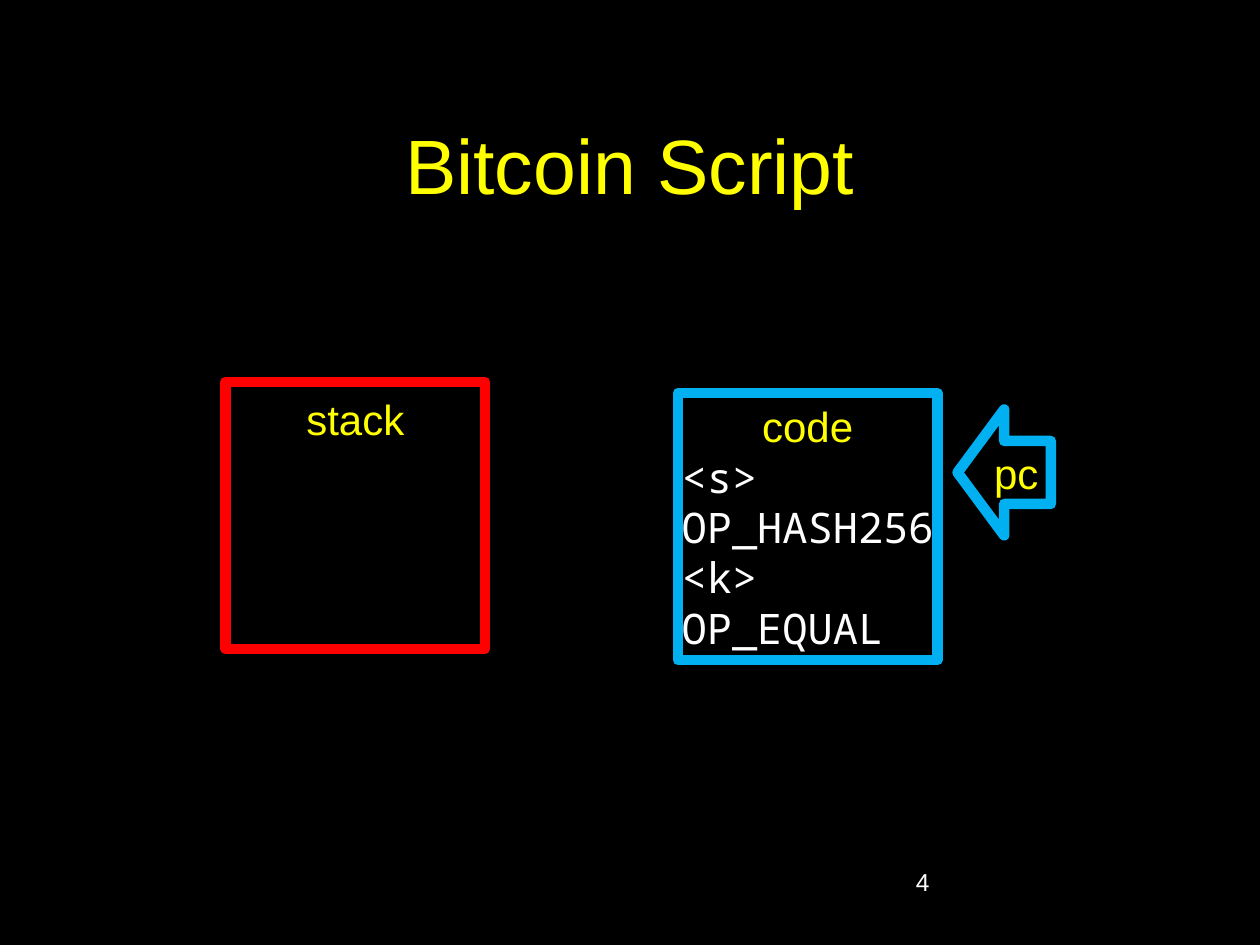
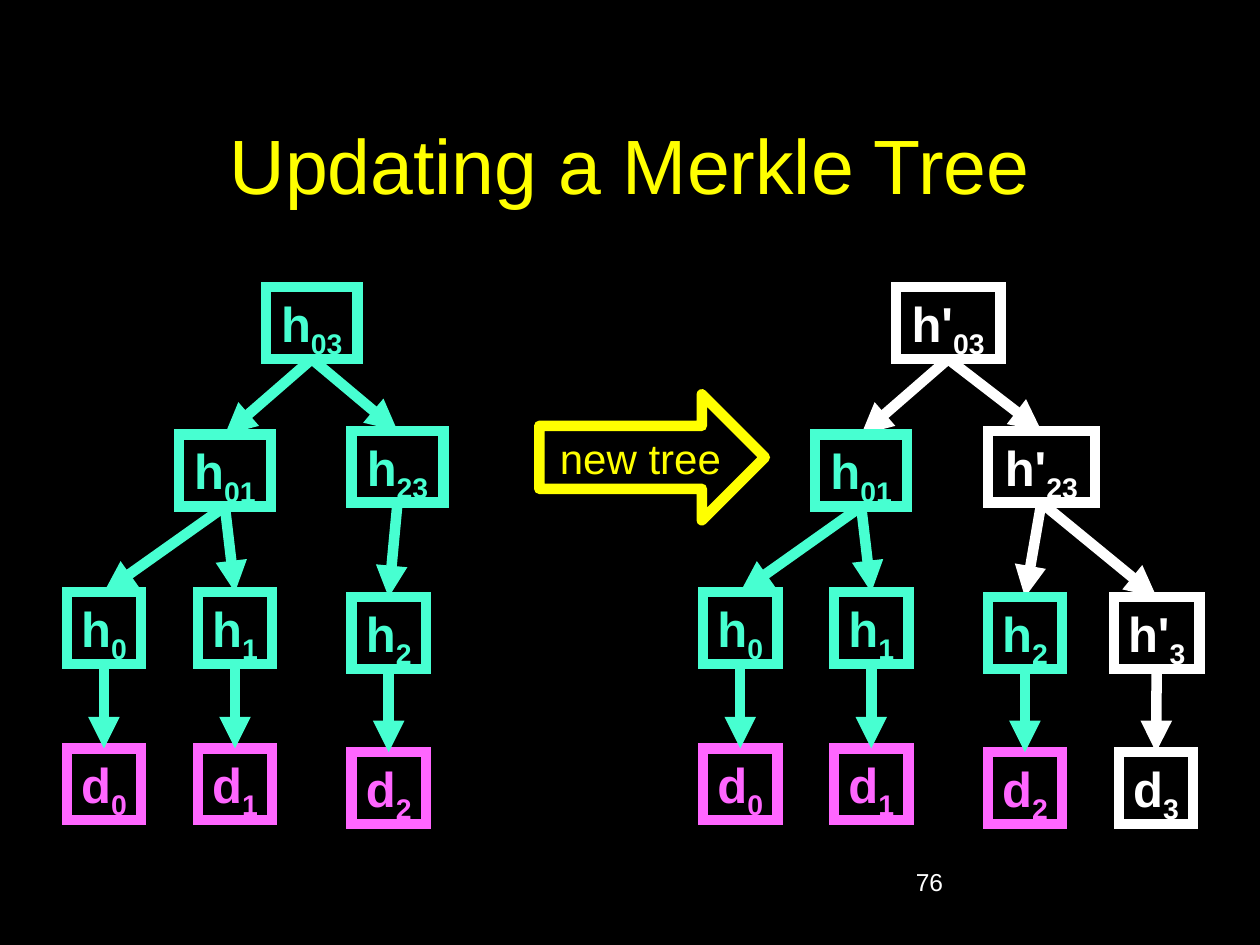
from lxml import etree
from pptx import Presentation
from pptx.dml import color
from pptx.enum import shapes, text
from pptx.oxml import ns
from pptx.util import Inches, Pt

BLACK, WHITE, YELLOW = "000000", "FFFFFF", "FFFF00"
BLUE, RED, TEAL, PINK = "00B0F0", "FF0000", "47FFD1", "FF66FF"
SANS, MONO = "Arial", "Noto Sans Mono"
LEFT, CENTER, RIGHT = text.PP_ALIGN.LEFT, text.PP_ALIGN.CENTER, text.PP_ALIGN.RIGHT
TOP, MIDDLE = text.MSO_ANCHOR.TOP, text.MSO_ANCHOR.MIDDLE
SHAPE = shapes.MSO_SHAPE
NODE_HEIGHT = 0.57


def rgb(value):
    """Turn a hex string into a colour."""
    return color.RGBColor.from_string(value)


class Deck:
    """Hold the shared style and the current slide."""

    def __init__(self, width, height):
        """Start an empty presentation of the given size."""
        self.prs = Presentation()
        self.prs.slide_width, self.prs.slide_height = Inches(width), Inches(height)

    def slide(self, title, number):
        """Add a black slide with its title and page number."""
        s = self.prs.slides.add_slide(self.prs.slide_layouts[6])
        s.background.fill.solid()
        s.background.fill.fore_color.rgb = rgb(BLACK)
        self.slide_shapes = self.shapes = s.shapes
        self.textbox((0.75, 0.67, 8.5, 1.25), title, 44, YELLOW, CENTER, MIDDLE)
        self.textbox((7.17, 6.83, 2.08, 0.5), str(number), 14, WHITE, LEFT, TOP)

    def group(self):
        """Send the following elements into a new group."""
        self.shapes = self.slide_shapes.add_group_shape().shapes

    def ungroup(self):
        """Send the following elements to the slide again."""
        self.shapes = self.slide_shapes

    def textbox(self, at, words, size, hue, align, anchor):
        """Add a wrapping text box with one line of text."""
        tf = self.shapes.add_textbox(*map(Inches, at)).text_frame
        tf.word_wrap, tf.vertical_anchor = True, anchor
        self.paragraph(tf.paragraphs[0], words, size, hue, align)

    def paragraph(self, p, words, size, hue, align, name=SANS, bold=False):
        """Fill a paragraph and set its font."""
        p.alignment = align
        p.add_run().text = words
        f = p.font
        f.size, f.name, f.bold, f.color.rgb = Pt(size), name, bold, rgb(hue)

    def outline(self, sp, hue, tag, attributes):
        """Give a shape or connector the thick line, with a join or arrowhead."""
        sp.line.color.rgb, sp.line.width = rgb(hue), Pt(6)
        ln = sp._element.spPr.find(ns.qn("a:ln"))
        etree.SubElement(ln, ns.qn(tag), attributes)

    def box(self, at, hue, kind=SHAPE.RECTANGLE, anchor=MIDDLE, join="round"):
        """Add a black outlined shape and return its text frame."""
        sp = self.shapes.add_shape(kind, *map(Inches, at))
        sp.shadow.inherit = False
        sp.fill.solid()
        sp.fill.fore_color.rgb = rgb(BLACK)
        self.outline(sp, hue, f"a:{join}", {"lim": "800000"} if join == "miter" else {})
        tf = sp.text_frame
        tf.word_wrap, tf.vertical_anchor = False, anchor
        return tf

    def panel(self, at, hue, label, align=CENTER, **options):
        """Add a labelled box or block arrow."""
        tf = self.box(at, hue, **options)
        self.paragraph(tf.paragraphs[0], label, 24, YELLOW, align)
        return tf

    def arrow(self, start, end, hue):
        """Add a line with an arrowhead at its end."""
        points = map(Inches, (*start, *end))
        c = self.shapes.add_connector(shapes.MSO_CONNECTOR.STRAIGHT, *points)
        self.outline(c, hue, "a:tailEnd", {"type": "triangle"})
        etree.SubElement(c._element.spPr, ns.qn("a:effectLst"))

    def node(self, name, at, hue):
        """Add a tree node whose digits are a subscript."""
        stem = name.rstrip("0123456789")
        p = self.box(at, hue, anchor=TOP, join="miter").paragraphs[0]
        self.paragraph(p, stem, 28, hue, CENTER, bold=True)
        r = p.add_run()
        r.text = name[len(stem):]
        r._r.get_or_add_rPr().set("baseline", "-25000")

    def tree(self, nodes, edges, offset):
        """Draw a tree as one group, moved right by the offset."""
        self.group()
        spots = {n: (x + offset, y, w, NODE_HEIGHT) for n, (x, y, w, _) in nodes.items()}

        def connect(to_data):
            """Draw the arrows that lead to data, or the ones between hashes."""
            for parent, child in edges:
                if child.startswith("d") == to_data:
                    (px, py, pw, ph), (cx, cy, cw, _) = spots[parent], spots[child]
                    self.arrow((px + pw / 2, py + ph), (cx + cw / 2, cy), nodes[parent][3])

        connect(False)
        for name, at in spots.items():
            self.node(name, at, nodes[name][3])
        connect(True)
        self.ungroup()


def script_slide(deck):
    """Show the stack and the code of a script."""
    deck.slide("Bitcoin Script", 4)
    code = deck.panel((5.38, 3.12, 2.06, 2.12), BLUE, "code")
    for step in ("<s>", "OP_HASH256", "<k>", "OP_EQUAL"):
        deck.paragraph(code.add_paragraph(), step, 24, WHITE, LEFT, MONO)
    stack = deck.panel((1.79, 3.03, 2.06, 2.12), RED, "stack", anchor=TOP)
    stack.margin_top = Inches(0.09)
    deck.panel((7.6, 3.25, 0.74, 1), BLUE, "pc", RIGHT, kind=SHAPE.LEFT_ARROW)


def merkle_slide(deck):
    """Show a Merkle tree before and after a leaf is added."""
    deck.slide("Updating a Merkle Tree", 76)
    kept = {"h01": (1.42, 3.45, 0.73, TEAL)}
    for i, (x, hash_y, data_y) in enumerate(
            ((0.53, 4.7, 5.94), (1.57, 4.7, 5.94), (2.79, 4.74, 5.97))):
        kept[f"h{i}"] = (x, hash_y, 0.59, TEAL)
        kept[f"d{i}"] = (x, data_y, 0.59, PINK)
    kept_edges = [("h01", "h0"), ("h01", "h1")] + [(f"h{i}", f"d{i}") for i in range(3)]

    old = {"h03": (2.11, 2.28, 0.73, TEAL), "h23": (2.79, 3.42, 0.73, TEAL)}
    old_edges = [("h03", "h01"), ("h03", "h23"), ("h23", "h2")]
    deck.tree({**kept, **old}, kept_edges + old_edges, 0)

    new = {"h'03": (2.06, 2.28, 0.83, WHITE), "h'23": (2.79, 3.42, 0.85, WHITE),
           "h'3": (3.79, 4.74, 0.68, WHITE), "d3": (3.83, 5.97, 0.59, WHITE)}
    new_edges = [("h'03", "h01"), ("h'03", "h'23"), ("h'23", "h2"),
                 ("h'23", "h'3"), ("h'3", "d3")]
    deck.tree({**kept, **new}, kept_edges + new_edges, 5.05)
    deck.panel((4.28, 3.13, 1.79, 1), YELLOW, "new tree", RIGHT, kind=SHAPE.RIGHT_ARROW)


def main():
    """Build and save the slides."""
    deck = Deck(10, 7.5)
    script_slide(deck)
    merkle_slide(deck)
    deck.prs.save("out.pptx")


if __name__ == "__main__":
    main()
